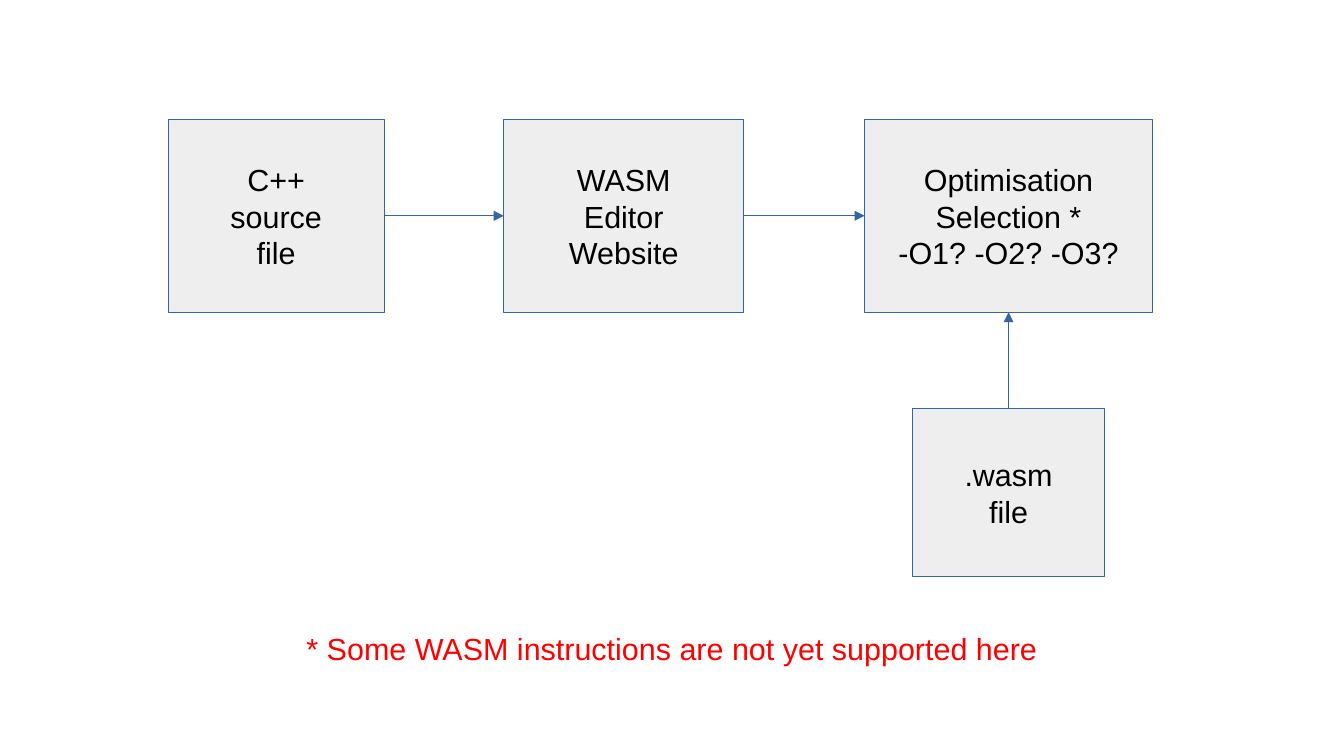
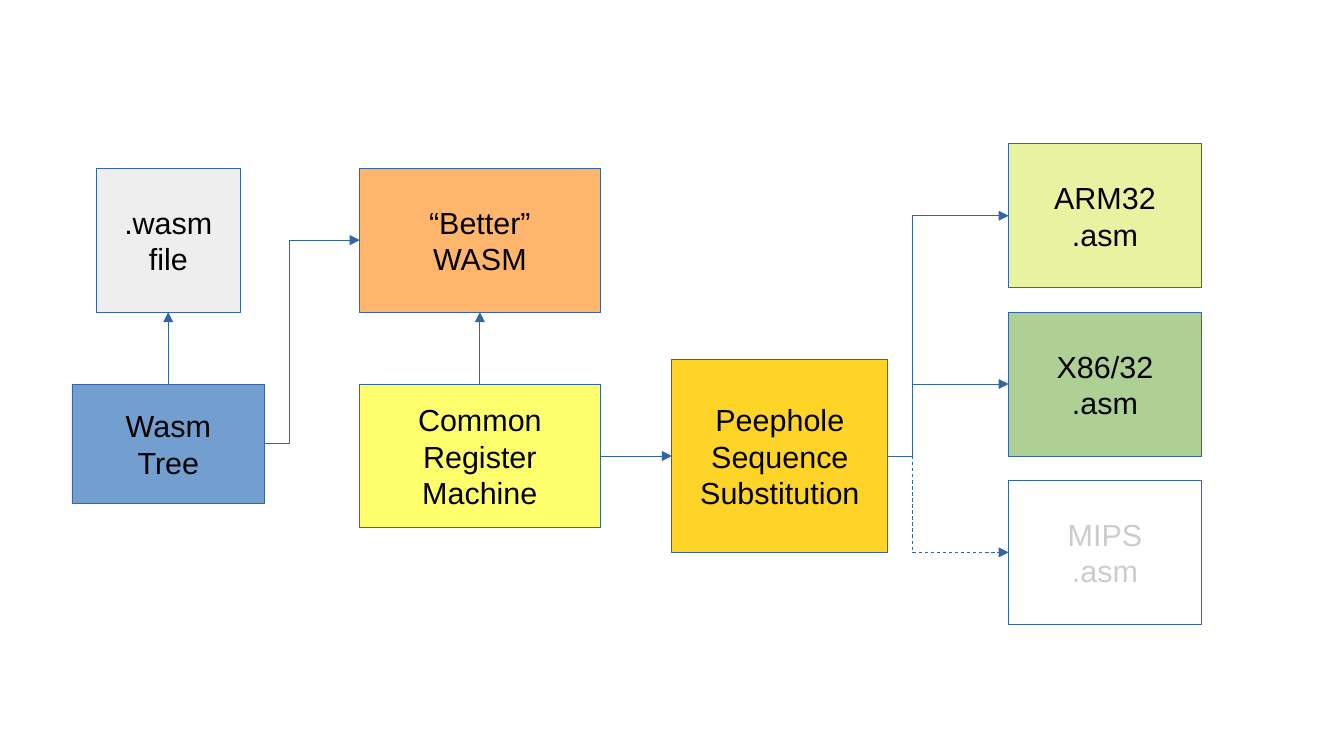
"""Build two flow diagrams about compiling and translating WASM."""
from lxml import etree
from pptx import Presentation
from pptx.dml.color import RGBColor
from pptx.enum.dml import MSO_LINE
from pptx.enum.shapes import MSO_CONNECTOR, MSO_SHAPE
from pptx.enum.text import MSO_ANCHOR, PP_ALIGN
from pptx.oxml.ns import qn
from pptx.util import Inches, Pt

RECTANGLE = MSO_SHAPE.RECTANGLE
STRAIGHT, ELBOW = MSO_CONNECTOR.STRAIGHT, MSO_CONNECTOR.ELBOW
DASH = MSO_LINE.DASH
MIDDLE, CENTER = MSO_ANCHOR.MIDDLE, PP_ALIGN.CENTER
TOP, LEFT, BOTTOM, RIGHT = range(4)

FONT = "Arial"
BLACK = RGBColor(0x00, 0x00, 0x00)
WHITE = RGBColor(0xFF, 0xFF, 0xFF)
RED = RGBColor(0xFF, 0x00, 0x00)
SILVER = RGBColor(0xCC, 0xCC, 0xCC)
GREY = RGBColor(0xEE, 0xEE, 0xEE)
BLUE = RGBColor(0x72, 0x9F, 0xCF)
ORANGE = RGBColor(0xFF, 0xB6, 0x6C)
YELLOW = RGBColor(0xFF, 0xFF, 0x6D)
GOLD = RGBColor(0xFF, 0xD4, 0x28)
LIME = RGBColor(0xE8, 0xF2, 0xA1)
GREEN = RGBColor(0xAF, 0xD0, 0x95)
OUTLINE = RGBColor(0x34, 0x65, 0xA4)

BEND = Inches(0.2)
TARGET_TOP, TARGET_STEP = 1.18, 1.38


def write(shape, text, size=18, color=BLACK):
    frame = shape.text_frame
    frame.word_wrap = False
    frame.vertical_anchor = MIDDLE
    paragraph = frame.paragraphs[0]
    paragraph.text = text
    paragraph.alignment = CENTER
    for run in paragraph.runs:
        run.font.name = FONT
        run.font.size = Pt(size)
        run.font.color.rgb = color


def outline(line):
    line.color.rgb = OUTLINE
    line.width = Pt(0.5)


def add_step(slide, text, left, top, width, height, fill=GREY, color=BLACK):
    step = slide.shapes.add_shape(
        RECTANGLE, Inches(left), Inches(top), Inches(width), Inches(height))
    step.shadow.inherit = False
    step.fill.solid()
    step.fill.fore_color.rgb = fill
    outline(step.line)
    write(step, text, color=color)
    return step


def add_note(slide, text, left, top, width, height, color):
    note = slide.shapes.add_textbox(
        Inches(left), Inches(top), Inches(width), Inches(height))
    write(note, text, color=color)


def add_arrow(slide, source, target, start=RIGHT, end=LEFT, kind=STRAIGHT, dash=None):
    arrow = slide.shapes.add_connector(kind, 0, 0, 0, 0)
    arrow.begin_connect(source, start)
    arrow.end_connect(target, end)
    outline(arrow.line)
    if dash:
        arrow.line.dash_style = dash
    properties = arrow.element.spPr
    etree.SubElement(properties.find(qn("a:ln")), qn("a:tailEnd"), type="triangle")
    etree.SubElement(properties, qn("a:effectLst"))
    if kind == ELBOW:
        guides = properties.find(qn("a:prstGeom")).find(qn("a:avLst"))
        share = round(100000 * BEND / arrow.width)
        etree.SubElement(guides, qn("a:gd"), name="adj1", fmla=f"val {share}")


def build_compile_slide(slide):
    source = add_step(slide, "C++\nsource\nfile", 1.38, 0.98, 1.77, 1.58)
    website = add_step(slide, "WASM\nEditor\nWebsite", 4.13, 0.98, 1.97, 1.58)
    selection = add_step(
        slide, "Optimisation\nSelection *\n-O1? -O2? -O3?", 7.09, 0.98, 2.36, 1.58)
    wasm_file = add_step(slide, ".wasm\nfile", 7.48, 3.35, 1.58, 1.38)
    add_arrow(slide, source, website)
    add_arrow(slide, website, selection)
    add_arrow(slide, wasm_file, selection, TOP, BOTTOM)
    add_note(slide, "* Some WASM instructions are not yet supported here",
             2.36, 5.12, 6.3, 0.39, RED)


def build_translate_slide(slide):
    wasm_file = add_step(slide, ".wasm\nfile", 0.79, 1.38, 1.18, 1.18)
    tree = add_step(slide, "Wasm\nTree", 0.59, 3.15, 1.58, 0.98, BLUE)
    better = add_step(slide, "“Better”\nWASM", 2.95, 1.38, 1.97, 1.18, ORANGE)
    machine = add_step(
        slide, "Common\nRegister\nMachine", 2.95, 3.15, 1.97, 1.18, YELLOW)
    peephole = add_step(
        slide, "Peephole\nSequence\nSubstitution", 5.51, 2.95, 1.77, 1.58, GOLD)
    add_arrow(slide, tree, wasm_file, TOP, BOTTOM)
    add_arrow(slide, tree, better, kind=ELBOW)
    add_arrow(slide, machine, better, TOP, BOTTOM)
    add_arrow(slide, machine, peephole)
    targets = [
        ("ARM32\n.asm", LIME, BLACK, None),
        ("X86/32\n.asm", GREEN, BLACK, None),
        ("MIPS\n.asm", WHITE, SILVER, DASH),
    ]
    for row, (text, fill, color, dash) in enumerate(targets):
        target = add_step(slide, text, 8.27, TARGET_TOP + row * TARGET_STEP,
                          1.58, 1.18, fill, color)
        add_arrow(slide, peephole, target, kind=ELBOW, dash=dash)


def main():
    deck = Presentation()
    deck.slide_width, deck.slide_height = Inches(11.02), Inches(6.2)
    blank = deck.slide_layouts[6]
    for build in (build_compile_slide, build_translate_slide):
        build(deck.slides.add_slide(blank))
    deck.save("out.pptx")


if __name__ == "__main__":
    main()
